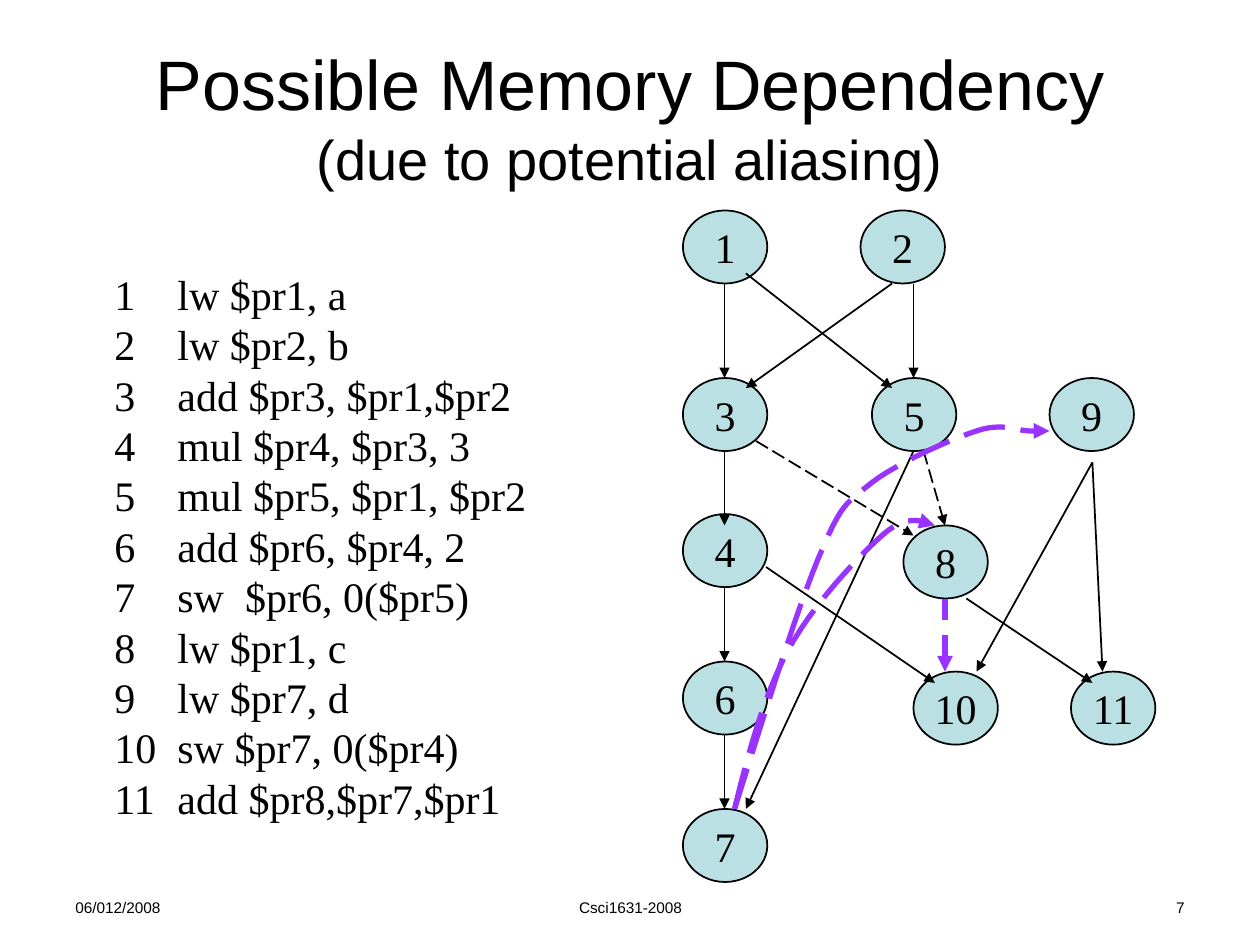
import pptx
import pptx.util
import pptx.dml.color
import pptx.enum.dml
import pptx.enum.shapes
import pptx.enum.text
from lxml import etree
from pptx.oxml import ns

Inches, Pt = pptx.util.Inches, pptx.util.Pt
RGB = pptx.dml.color.RGBColor.from_string
Align = pptx.enum.text.PP_ALIGN
Anchor = pptx.enum.text.MSO_ANCHOR
Dash = pptx.enum.dml.MSO_LINE

THEME = {
    "ink": RGB("000000"), "node": RGB("BBE0E3"), "alias": RGB("9933FF"),
    "sans": "Arial", "serif": "Times New Roman",
    "title": Pt(40), "sub": Pt(32), "body": Pt(24), "foot": Pt(8.8),
    "thin": Pt(1), "thick": Pt(3),
}


def write(frame, text, face, size, align=Align.LEFT):
    """Put text in the frame's first paragraph, or in a new one once that is used."""
    para = frame.paragraphs[0]
    if para.runs:
        para = frame.add_paragraph()
    para.alignment = align
    run = para.add_run()
    run.text = text
    look = {"name": THEME[face], "size": THEME[size]}
    for key, val in look.items():
        setattr(run.font, key, val)
    run.font.color.rgb = THEME["ink"]
    return para


def arrow(shape, color, width, dash=None):
    """Style a line or curve and put an arrowhead at its end."""
    line = shape.line
    line.color.rgb = THEME[color]
    line.width = THEME[width]
    if dash:
        line.dash_style = dash
    etree.SubElement(line._get_or_add_ln(), ns.qn("a:tailEnd"), type="triangle")
    props = shape._element.spPr
    if props.find(ns.qn("a:effectLst")) is None:
        etree.SubElement(props, ns.qn("a:effectLst"))


deck = pptx.Presentation()
deck.slide_width, deck.slide_height = Inches(10), Inches(7.5)
shapes = deck.slides.add_slide(deck.slide_layouts[6]).shapes

# Footer
for left, width, text, align in [
    (0.5, 2.33, "06/012/2008", Align.LEFT),
    (3.42, 3.17, "Csci1631-2008", Align.CENTER),
    (7.17, 2.33, "7", Align.RIGHT),
]:
    box = shapes.add_textbox(Inches(left), Inches(7.08), Inches(width), Inches(0.27))
    box.text_frame.word_wrap = True
    write(box.text_frame, text, "sans", "foot", align)

# Title
box = shapes.add_textbox(Inches(0.5), Inches(0.3), Inches(9), Inches(1.25))
frame = box.text_frame
frame.word_wrap = True
frame.vertical_anchor = Anchor.MIDDLE
write(frame, "Possible Memory Dependency", "sans", "title", Align.CENTER)
write(frame, "(due to potential aliasing)", "sans", "sub", Align.CENTER)

# Numbered code
CODE = [
    "lw $pr1, a", "lw $pr2, b", "add $pr3, $pr1,$pr2", "mul $pr4, $pr3, 3",
    "mul $pr5, $pr1, $pr2", "add $pr6, $pr4, 2", "sw  $pr6, 0($pr5)",
    "lw $pr1, c", "lw $pr7, d", "sw $pr7, 0($pr4)", "add $pr8,$pr7,$pr1",
]
box = shapes.add_textbox(Inches(0.81), Inches(2.08), Inches(4.47), Inches(4.5))
frame = box.text_frame
frame.word_wrap = False
for text in CODE:
    para = write(frame, text, "serif", "body")
    para.line_spacing = Pt(28.8)
    props = para._p.get_or_add_pPr()
    props.set("marL", str(Inches(0.5)))
    props.set("indent", str(-Inches(0.5)))
    etree.SubElement(props, ns.qn("a:buFont"), typeface=THEME["serif"])
    etree.SubElement(props, ns.qn("a:buAutoNum"), type="arabicPlain")

# Graph nodes: number, left, top
NODES = [
    (1, 5.42, 1.67), (2, 6.83, 1.67), (3, 5.42, 3), (4, 5.42, 4.08),
    (5, 6.92, 3), (6, 5.42, 5.25), (7, 5.42, 6.42), (8, 7.17, 4.17),
    (10, 7.25, 5.33), (9, 8.33, 3), (11, 8.5, 5.33),
]
for num, left, top in NODES:
    node = shapes.add_shape(pptx.enum.shapes.MSO_SHAPE.OVAL, Inches(left), Inches(top),
                            Inches(0.67), Inches(0.58))
    node.shadow.inherit = False
    node.fill.solid()
    node.fill.fore_color.rgb = THEME["node"]
    node.line.color.rgb = THEME["ink"]
    node.line.width = THEME["thin"]
    node.text_frame.word_wrap = False
    node.text_frame.vertical_anchor = Anchor.MIDDLE
    write(node.text_frame, str(num), "serif", "body", Align.CENTER)

# Straight dependencies: start, end, style
SOLID = ("ink", "thin")
MAYBE = ("ink", "thin", Dash.LONG_DASH)
EDGES = [
    ((5.75, 2.25), (5.75, 3), SOLID),
    ((7.08, 2.25), (5.92, 3.08), SOLID),
    ((5.92, 2.17), (7.08, 3.08), SOLID),
    ((7.25, 2.25), (7.25, 3), SOLID),
    ((5.75, 3.58), (5.75, 4.17), SOLID),
    ((5.75, 4.67), (5.75, 5.25), SOLID),
    ((5.75, 5.83), (5.75, 6.42), SOLID),
    ((7.25, 3.58), (5.92, 6.42), SOLID),
    ((7.33, 3.58), (7.5, 4.17), MAYBE),
    ((6, 3.5), (7.25, 4.25), MAYBE),
    ((6.08, 4.5), (7.42, 5.42), SOLID),
    ((8.67, 3.67), (7.75, 5.33), SOLID),
    ((7.67, 4.75), (8.67, 5.42), SOLID),
    ((8.67, 3.67), (8.75, 5.33), SOLID),
    ((7.5, 4.75), (7.5, 5.33), ("alias", "thick", Dash.DASH)),
]
for start, end, style in EDGES:
    ends = [Inches(val) for val in start + end]
    link = shapes.add_connector(pptx.enum.shapes.MSO_CONNECTOR.STRAIGHT, *ends)
    arrow(link, *style)

# Curved alias paths: a start, then two handles and an end for each cubic piece
CURVES = [
    [(5.83, 6.42), (5.94, 5.97), (6.06, 5.53), (6.25, 5.17),
     (6.44, 4.81), (6.81, 4.42), (7, 4.25), (7.19, 4.08), (7.31, 4.13), (7.42, 4.17)],
    [(5.83, 6.42), (6.08, 5.63), (6.32, 4.85), (6.5, 4.42),
     (6.68, 3.99), (6.71, 4), (6.92, 3.83), (7.13, 3.67), (7.54, 3.49), (7.75, 3.42),
     (7.96, 3.35), (8.07, 3.42), (8.17, 3.42), (8.26, 3.42), (8.3, 3.42), (8.33, 3.42)],
]
STEPS = 12
for curve in CURVES:
    dots = []
    for first in range(0, len(curve) - 1, 3):
        piece = curve[first:first + 4]
        for step in range(1, STEPS + 1):
            t = step / STEPS
            parts = ((1 - t) ** 3, 3 * t * (1 - t) ** 2, 3 * t * t * (1 - t), t ** 3)
            dots.append([Inches(sum(p * c for p, c in zip(parts, axis)))
                         for axis in zip(*piece)])
    pen = shapes.build_freeform(*[Inches(val) for val in curve[0]])
    pen.add_line_segments(dots, close=False)
    path = pen.convert_to_shape()
    path.shadow.inherit = False
    path.fill.background()
    arrow(path, "alias", "thick", Dash.LONG_DASH)

deck.save("out.pptx")
